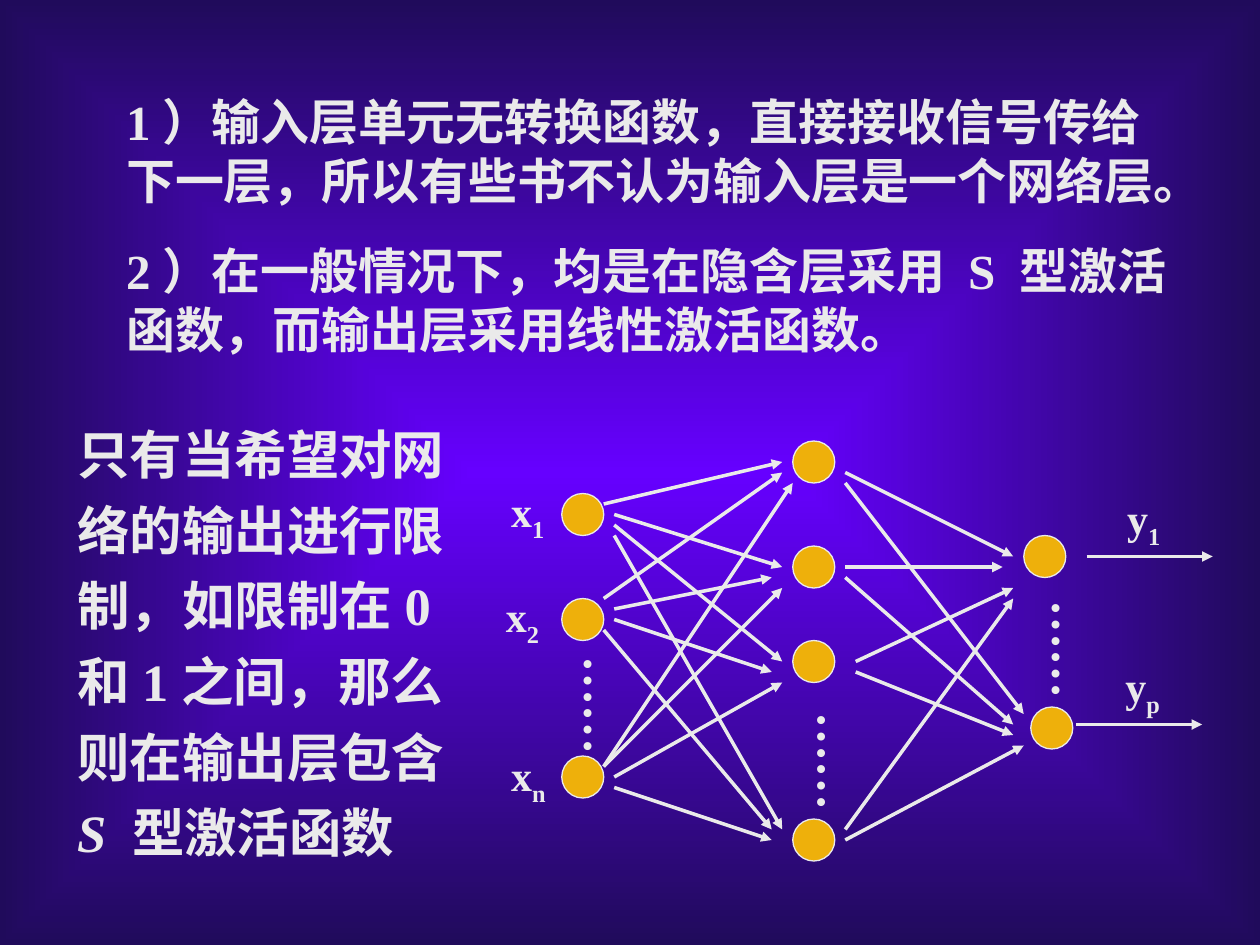
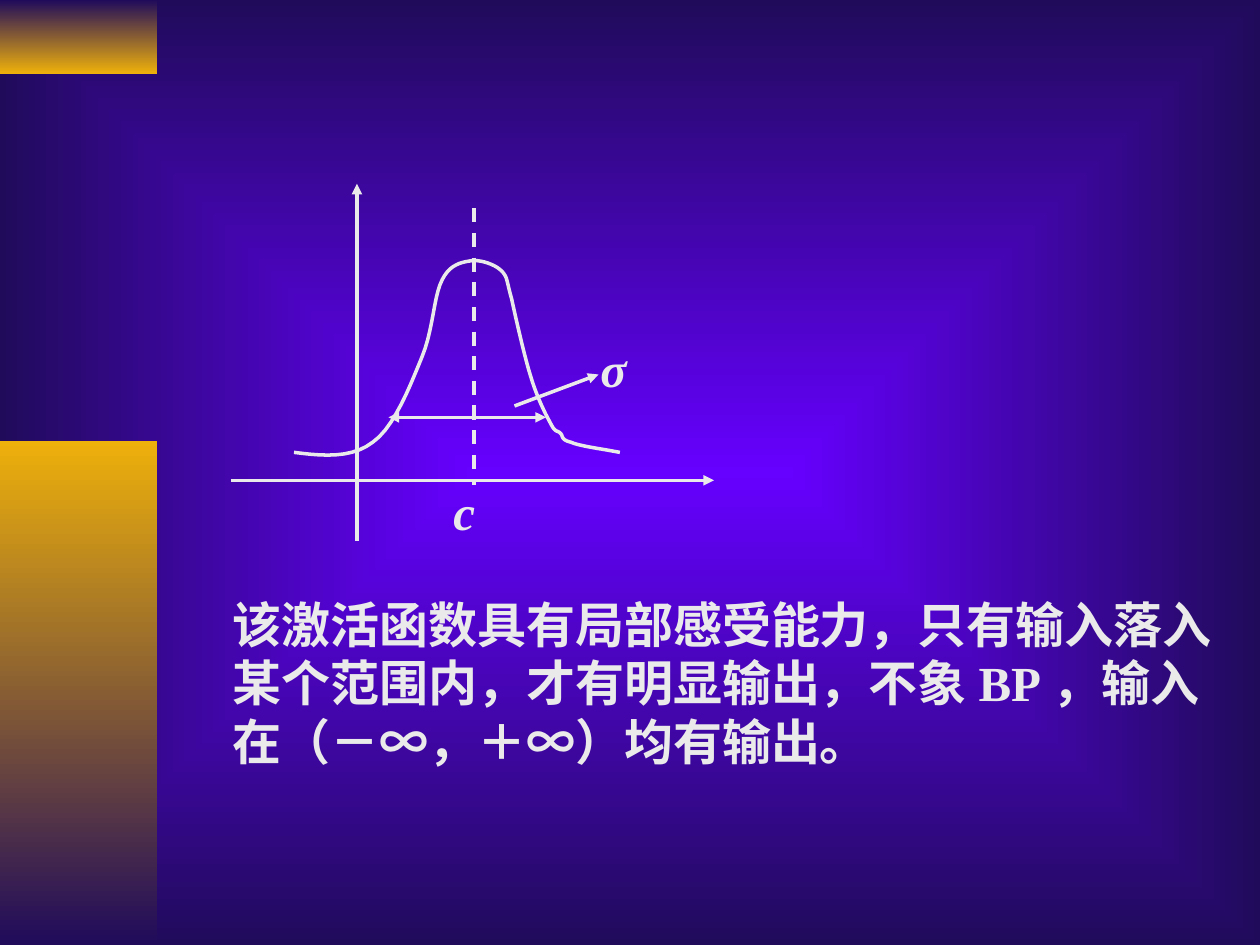
from dataclasses import dataclass

from lxml.etree import SubElement
from pptx import Presentation
from pptx.dml.color import RGBColor
from pptx.enum.dml import MSO_LINE
from pptx.enum.shapes import MSO_CONNECTOR, MSO_SHAPE
from pptx.oxml.ns import qn
from pptx.util import Pt

LIGHT, GOLD, VIOLET, NAVY = "EAEAEA", "EEB00B", "6600FF", "200B5B"
LATIN, CHINESE = "Times New Roman", "Noto Sans CJK SC"

NODE_SIZE = 24
NODE_COLUMNS = {39: (30, 90, 180), 171: (0, 60, 114, 216), 303: (54,), 307: (152,)}
LINKS = (
    (63, 36, 165, 12), (69, 42, 165, 72), (69, 48, 165, 126), (69, 54, 165, 222),
    (63, 90, 165, 18), (69, 96, 159, 78), (69, 102, 159, 132), (63, 108, 159, 222),
    (63, 186, 171, 24), (63, 186, 165, 84), (69, 192, 165, 138), (69, 198, 159, 228),
    (201, 18, 297, 66), (201, 72, 291, 72), (207, 126, 297, 84), (201, 222, 297, 90),
    (201, 24, 303, 156), (201, 78, 297, 162), (207, 132, 297, 168), (201, 228, 303, 174),
    (339, 66, 411, 66), (333, 162, 405, 162),
)
NODE_LABELS = (
    ("x", "1", 3, 22), ("x", "2", 0, 82), ("x", "n", 3, 173),
    ("y", "1", 355, 26), ("y", "p", 354, 122),
)
DOT_PLACES = ((36, 116), (169.5, 148), (303.5, 84))

BELL_START = (36, 153.5)
BELL_CURVES = (
    ((52.3, 155.6), (69, 157), (81, 147.7)),
    ((93.4, 139), (102.7, 114.6), (109.2, 98.8)),
    ((115.7, 83), (115.7, 64.2), (120.7, 54.8)),
    ((125, 46.2), (131.5, 44.8), (137.3, 44)),
    ((143, 43.3), (151, 46.2), (154.6, 49.8)),
    ((158.2, 53.4), (157.4, 55.6), (160.3, 65.6)),
    ((162.5, 75.7), (167.5, 98), (171.1, 109.6)),
    ((174.7, 121.8), (179.8, 131.9), (182.6, 136.9)),
    ((185.5, 142.7), (186.2, 140.5), (188.4, 142.7)),
    ((189.8, 144.1), (188.4, 146.3), (194.2, 147.7)),
    ((199.2, 149.9), (210.7, 151.3), (222.2, 153.5)),
)
CURVE_STEPS = 10


@dataclass
class Box:
    """A rectangle on the page, in points."""
    left: float
    top: float
    width: float
    height: float

    def inner(self, left, top, width, height):
        """Return a box placed relative to this one."""
        return Box(self.left + left, self.top + top, width, height)

    def point(self, across, down):
        """Return a place inside the box as page lengths."""
        return Pt(self.left + across), Pt(self.top + down)

    def lengths(self):
        """Return the four sides as page lengths."""
        return Pt(self.left), Pt(self.top), Pt(self.width), Pt(self.height)


def colour(code):
    """Turn a hex string into a colour."""
    return RGBColor.from_string(code)


def set_gradient(fill, first, last):
    """Give a fill two gradient stops."""
    fill.gradient()
    for stop, code, position in zip(fill.gradient_stops, (first, last), (0, 1)):
        stop.color.rgb = colour(code)
        stop.position = position


def add_page(deck):
    """Add a blank page with the glowing background."""
    page = deck.slides.add_slide(deck.slide_layouts[6])
    set_gradient(page.background.fill, VIOLET, NAVY)
    gradient = page._element.find(".//" + qn("a:gradFill"))
    gradient.remove(gradient.find(qn("a:lin")))
    path = SubElement(gradient, qn("a:path"), path="rect")
    SubElement(path, qn("a:fillToRect"), l="50000", t="50000", r="50000", b="50000")
    return page


def add_text(page, box, paragraphs, size, space_after=0, line_spacing=None, italic=None):
    """Add a wrapped text box holding lists of runs and return its frame."""
    frame = page.shapes.add_textbox(*box.lengths()).text_frame
    frame.word_wrap = True
    for index, runs in enumerate(paragraphs):
        para = frame.add_paragraph() if index else frame.paragraphs[0]
        para.space_after = Pt(space_after)
        para.line_spacing = line_spacing
        font = para.font
        font.size, font.bold, font.italic = Pt(size), True, italic
        font.color.rgb = colour(LIGHT)
        font.name = LATIN
        SubElement(font._element, qn("a:ea"), typeface=CHINESE)
        for text in runs:
            para.add_run().text = text
    return frame


def add_line(page, box, ends, head=False, tail=True):
    """Add a light line between two places in the box."""
    start, finish = box.point(*ends[:2]), box.point(*ends[2:])
    connector = page.shapes.add_connector(MSO_CONNECTOR.STRAIGHT, *start, *finish)
    connector.line.color.rgb = colour(LIGHT)
    connector.line.width = Pt(2)
    outline = connector.line._get_or_add_ln()
    for name, wanted in (("a:headEnd", head), ("a:tailEnd", tail)):
        if wanted:
            SubElement(outline, qn(name), type="triangle")
    SubElement(connector._element.spPr, qn("a:effectLst"))
    return connector


def add_node(page, box):
    """Add one neuron of the network."""
    node = page.shapes.add_shape(MSO_SHAPE.OVAL, *box.lengths())
    node.shadow.inherit = False
    node.fill.solid()
    node.fill.fore_color.rgb = colour(GOLD)
    node.line.color.rgb = colour(LIGHT)
    node.line.width = Pt(0.75)


def add_dots(page, box):
    """Add an upright ellipsis between neurons."""
    frame = add_text(page, box, [["……"]], 28)
    frame._txBody.bodyPr.set("vert", "eaVert")
    frame.margin_left = frame.margin_right = Pt(3.6)
    frame.margin_top = frame.margin_bottom = Pt(7.2)


def add_network(page, box):
    """Draw the three-layer network."""
    for left, tops in NODE_COLUMNS.items():
        for top in tops:
            add_node(page, box.inner(left, top, NODE_SIZE, NODE_SIZE))
    for ends in LINKS:
        add_line(page, box, ends)
    for left, top in DOT_PLACES:
        add_dots(page, box.inner(left, top, 47.5, 72))
    for letter, index, left, top in NODE_LABELS:
        frame = add_text(page, box.inner(left, top, 48, 40), [[letter, index]], 24)
        subscript = frame.paragraphs[0].runs[1]
        subscript._r.get_or_add_rPr().set("baseline", "-25000")


def add_bands(page, box):
    """Draw the two golden bands at the left edge."""
    for top, height, first, last in ((0, 42, NAVY, GOLD), (252, 288, GOLD, NAVY)):
        part = box.inner(0, top, box.width, height)
        band = page.shapes.add_shape(MSO_SHAPE.RECTANGLE, *part.lengths())
        band.shadow.inherit = False
        set_gradient(band.fill, first, last)
        band.fill.gradient_angle = 270
        band.line.fill.background()


def bell_points():
    """Return places along the bell's cubic curves."""
    points, start = [BELL_START], BELL_START
    for first, second, finish in BELL_CURVES:
        for step in range(1, CURVE_STEPS + 1):
            t = step / CURVE_STEPS
            weights = ((1 - t) ** 3, 3 * t * (1 - t) ** 2, 3 * t * t * (1 - t), t ** 3)
            points.append(tuple(
                sum(weight * value for weight, value in zip(weights, values))
                for values in zip(start, first, second, finish)))
        start = finish
    return points


def add_bell_plot(page, box):
    """Draw the bell-shaped activation function on its axes."""
    add_line(page, box, (0, 169.5, 276, 169.5))
    add_line(page, box, (72, 204, 72, 0))
    start, *others = [box.point(*place) for place in bell_points()]
    builder = page.shapes.build_freeform(*start)
    builder.add_line_segments(others, close=False)
    bell = builder.convert_to_shape()
    bell.shadow.inherit = False
    bell.fill.background()
    bell.line.color.rgb = colour(LIGHT)
    bell.line.width = Pt(2)
    add_line(page, box, (90, 133.5, 180, 133.5), head=True)
    centre = add_line(page, box, (139, 14, 139, 172), tail=False)
    centre.line.dash_style = MSO_LINE.DASH
    for symbol, left, top in (("σ", 204, 85), ("c", 120, 166.5)):
        add_text(page, box.inner(left, top, 42, 41), [[symbol]], 28, italic=True)
    add_line(page, box, (162, 127, 210, 109))


def build_network_page(deck):
    """Build the page on layers and their activation functions."""
    page = add_page(deck)
    add_text(page, Box(65, 49, 618, 159), [
        ["1）输入层单元无转换函数，直接接收信号传给下一层，所以有些书不认为输入层是一个网络层。"],
        ["2）在一般情况下，均是在隐含层采用 S 型激活函数，而输出层采用线性激活函数。"],
    ], 28, space_after=17.5)
    add_network(page, Box(282, 252, 411, 240))
    frame = add_text(page, Box(37, 230.5, 244, 266), [[
        "只有当希望对网络的输出进行限制，如限制在0和1之间，那么则在输出层包含 ",
        "S ", "型激活函数"]], 30, line_spacing=1.2)
    frame.paragraphs[0].runs[1].font.italic = True


def build_bell_page(deck):
    """Build the page on the local activation function."""
    page = add_page(deck)
    add_bands(page, Box(0, 0, 90, 540))
    add_bell_plot(page, Box(132, 105, 276, 204))
    frame = add_text(page, Box(126, 336, 576, 108), [[
        "该激活函数具有局部感受能力，只有输入落入某个范围内，才有明显输出，不象BP，输入在（－",
        "∞，＋∞", "）均有输出。"]], 28)
    frame.paragraphs[0].runs[1].font.name = CHINESE


def main():
    """Build and save the deck."""
    deck = Presentation()
    deck.slide_width, deck.slide_height = Pt(720), Pt(540)
    build_network_page(deck)
    build_bell_page(deck)
    deck.save("out.pptx")


if __name__ == "__main__":
    main()
